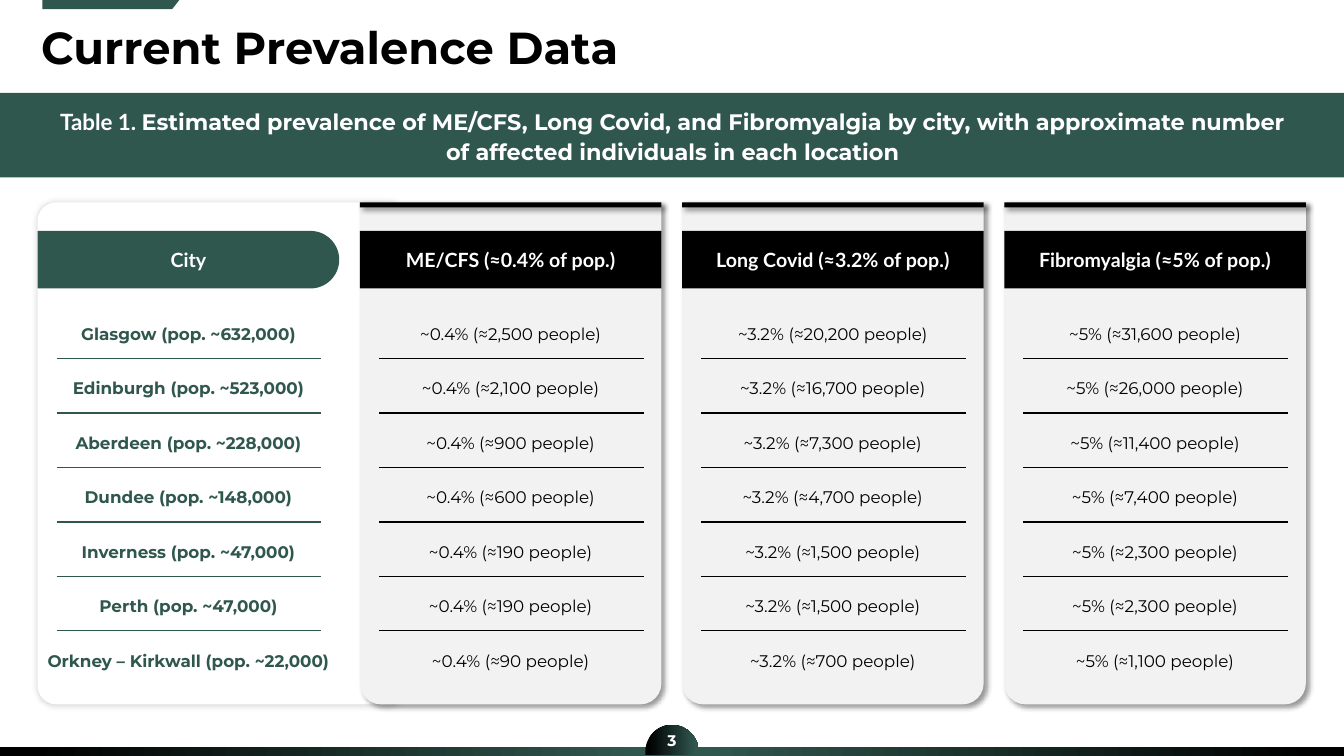
import math
from lxml import etree
from pptx import Presentation, util as u
from pptx.dml.color import RGBColor
from pptx.enum import shapes, text
from pptx.oxml.ns import qn

GREEN = RGBColor(0x30, 0x57, 0x4E)
BLACK = RGBColor(0, 0, 0)
WHITE = RGBColor(255, 255, 255)
GREY = RGBColor(0xF2, 0xF2, 0xF2)
HEAD, BODY = "Lato", "Montserrat"
RECT = shapes.MSO_SHAPE.RECTANGLE
WIDE, HIGH = 33.87, 19.05

LEFT, PITCH, COL = 0.95, 8.12, 7.6
TOP, DEEP = 5.1, 12.65
BAND, TALL = 5.82, 1.45
RULE, STEP = 9.04, 1.37

CITIES = [
    "Glasgow (pop. ~632,000)", "Edinburgh (pop. ~523,000)",
    "Aberdeen (pop. ~228,000)", "Dundee (pop. ~148,000)",
    "Inverness (pop. ~47,000)", "Perth (pop. ~47,000)",
    "Orkney – Kirkwall (pop. ~22,000)",
]
ILLS = [
    ("ME/CFS", "0.4%", "2,500 2,100 900 600 190 190 90"),
    ("Long Covid", "3.2%", "20,200 16,700 7,300 4,700 1,500 1,500 700"),
    ("Fibromyalgia", "5%", "31,600 26,000 11,400 7,400 2,300 2,300 1,100"),
]


def arc(x, y, r, start, end):
    """Points along a circle, angles in degrees clockwise from the right."""
    turns = [math.radians(start + (end - start) * i / 36) for i in range(37)]
    return [(x + r * math.cos(t), y + r * math.sin(t)) for t in turns]


class Deck:
    def __init__(self):
        self.prs = Presentation()
        self.prs.slide_width, self.prs.slide_height = u.Cm(WIDE), u.Cm(HIGH)
        self.slide = self.prs.slides.add_slide(self.prs.slide_layouts[6])
        self.items = self.slide.shapes

    def paint(self, shape, fill):
        """Fill with one colour, or with a left-to-right pair of colours."""
        shape.shadow.inherit = False
        shape.line.fill.background()
        if isinstance(fill, RGBColor):
            shape.fill.solid()
            shape.fill.fore_color.rgb = fill
        else:
            shape.fill.gradient()
            shape.fill.gradient_angle = 0
            for stop, spot, color in zip(shape.fill.gradient_stops, (0.05, 0.95), fill):
                stop.position, stop.color.rgb = spot, color
        return shape

    def block(self, x, y, w, h, fill, kind=RECT, adj=()):
        shape = self.items.add_shape(kind, u.Cm(x), u.Cm(y), u.Cm(w), u.Cm(h))
        for i, value in enumerate(adj):
            shape.adjustments[i] = value
        return self.paint(shape, fill)

    def outline(self, points, fill):
        spots = [(u.Cm(x), u.Cm(y)) for x, y in points]
        pen = self.items.build_freeform(*spots[0], scale=1.0)
        pen.add_line_segments(spots[1:], close=True)
        return self.paint(pen.convert_to_shape(), fill)

    def shade(self, shape, blur, dist, alpha):
        """Give the shape a soft black shadow; blur and dist in points."""
        effect = shape._element.spPr.find(qn("a:effectLst"))
        outer = etree.SubElement(
            effect, qn("a:outerShdw"), blurRad=str(u.Pt(blur)), dist=str(u.Pt(dist)),
            dir=str(45 * 60000), algn="ctr", rotWithShape="0")
        color = etree.SubElement(outer, qn("a:srgbClr"), val="000000")
        etree.SubElement(color, qn("a:alpha"), val=str(alpha * 1000))

    def rule(self, x, y, w, color):
        line = self.items.add_connector(
            shapes.MSO_CONNECTOR.STRAIGHT, u.Cm(x), u.Cm(y), u.Cm(x + w), u.Cm(y))
        line.line.color.rgb = color
        line.line.width = u.Pt(1)
        etree.SubElement(line._element.spPr, qn("a:effectLst"))

    def label(self, x, y, w, h, paras, size, color, bold=True, font=BODY,
              space=1.0, gap=0, align=text.PP_ALIGN.CENTER,
              anchor=text.MSO_ANCHOR.MIDDLE):
        box = self.items.add_textbox(u.Cm(x), u.Cm(y), u.Cm(w), u.Cm(h))
        frame = box.text_frame
        frame.word_wrap = True
        frame.margin_left = frame.margin_right = 0
        frame.vertical_anchor = anchor
        frame.text = "\n".join(paras)
        for i, para in enumerate(frame.paragraphs):
            para.alignment, para.line_spacing = align, space
            if i:
                para.space_before = u.Pt(gap)
            for run in para.runs:
                self.style(run, size, color, bold, font)
        return frame

    def style(self, run, size, color, bold, font):
        run.font.size, run.font.bold, run.font.name = u.Pt(size), bold, font
        run.font.color.rgb = color

    def column(self, x, title, rows, color, bold):
        """Header, figures and dividing lines of one column."""
        self.label(x, BAND + 0.3, COL, 0.86, [title], 14, WHITE, font=HEAD)
        self.label(x, 7.85, COL, 9.19, rows, 12, color, bold, space=1.35,
                   gap=19.5, anchor=text.MSO_ANCHOR.TOP)
        for i in range(len(rows) - 1):
            self.rule(x + 0.48, RULE + i * STEP, 6.67, color)

    def footer(self):
        half = WIDE / 2
        self.block(half, 18.82, half, 0.23, (GREEN, BLACK))
        self.block(0, 18.82, half, 0.23, (BLACK, GREEN))
        dome = arc(half, 18.94, 0.67, 180, 360)
        base = [(half + 0.67, 19.03), (half - 0.67, 19.03)]
        self.outline(dome + base, (BLACK, GREEN))
        self.label(half - 1.1, 18.14, 2.2, 1.02, ["3"], 11, WHITE)

    def header(self):
        self.outline([(1.07, 0), (4.52, 0), (4.34, 0.23), (1.07, 0.23)], GREEN)
        self.label(1.04, 0.56, 26.2, 1.4, ["Current Prevalence Data"], 32, BLACK,
                   space=0.9, align=text.PP_ALIGN.LEFT)
        self.block(0, 2.34, WIDE, 2.13, GREEN)
        frame = self.label(
            1.27, 2.54, 31.37, 1.73, ["Table 1. "], 16, WHITE, font=HEAD, space=1.1)
        run = frame.paragraphs[0].add_run()
        run.text = ("Estimated prevalence of ME/CFS, Long Covid, and Fibromyalgia by city, "
                    "with approximate number of affected individuals in each location")
        self.style(run, 16, WHITE, True, BODY)

    def cities(self):
        card = self.block(LEFT, TOP, 9.3, DEEP, WHITE,
                          shapes.MSO_SHAPE.ROUNDED_RECTANGLE, [0.05])
        self.shade(card, 5, 0, 20)
        r = TALL / 2
        tip = arc(LEFT + COL - r, BAND + r, r, -90, 90)
        self.outline([(LEFT, BAND)] + tip + [(LEFT, BAND + TALL)], GREEN)
        self.column(LEFT, "City", CITIES, GREEN, True)

    def illness(self, x, name, share, counts):
        card = self.block(x, TOP, COL, DEEP, GREY,
                          shapes.MSO_SHAPE.ROUND_2_SAME_RECTANGLE, [0, 0.07])
        self.shade(card, 4, 3, 40)
        self.block(x, BAND, COL, TALL, BLACK)
        self.shade(self.block(x, TOP, COL, 0.13, BLACK), 4, 3, 40)
        rows = [f"~{share} (≈{count} people)" for count in counts.split()]
        self.column(x, f"{name} (≈{share} of pop.)", rows, BLACK, False)


def main():
    deck = Deck()
    deck.footer()
    deck.header()
    deck.cities()
    for i, ill in enumerate(ILLS, 1):
        deck.illness(LEFT + i * PITCH, *ill)
    deck.prs.save("out.pptx")


if __name__ == "__main__":
    main()
